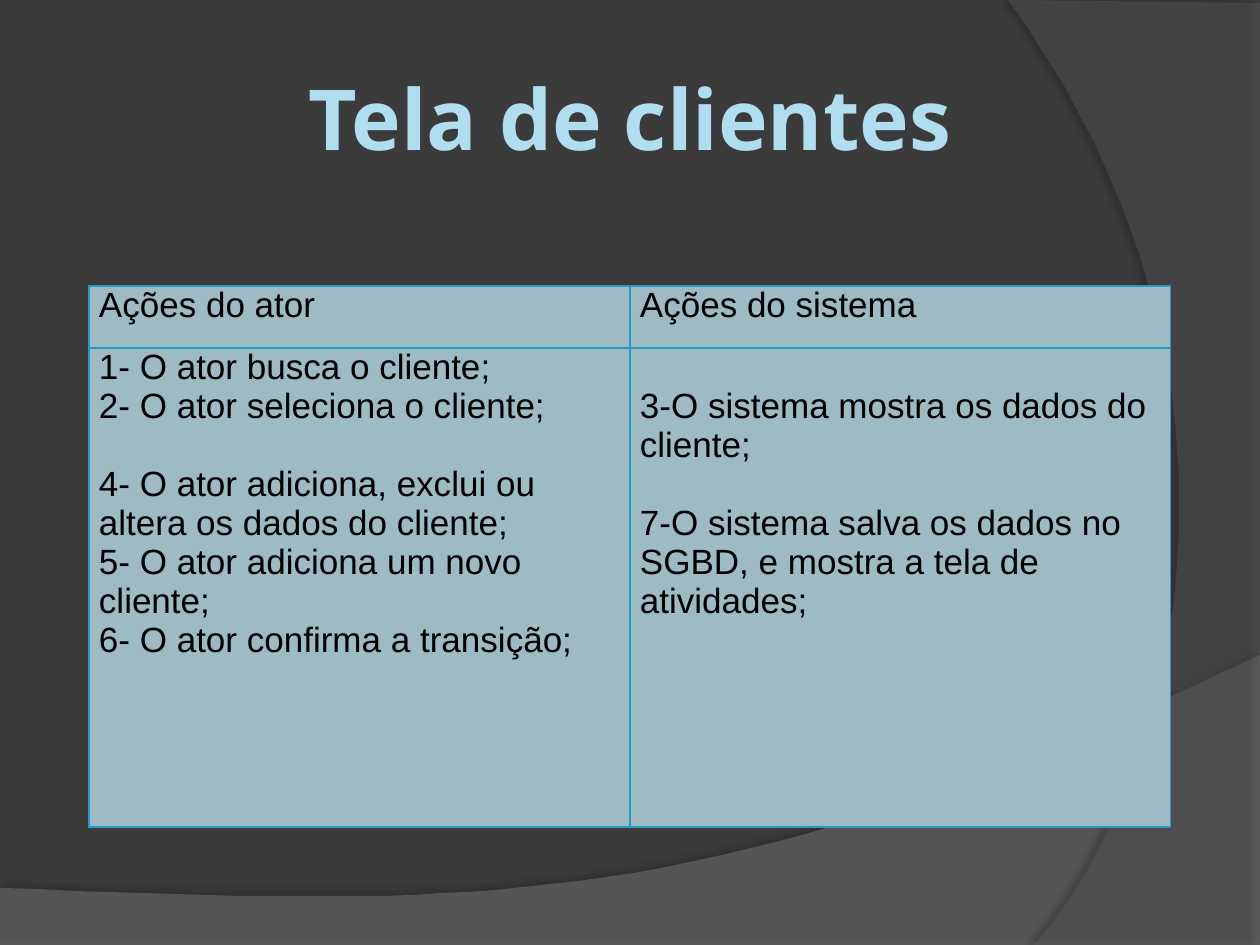
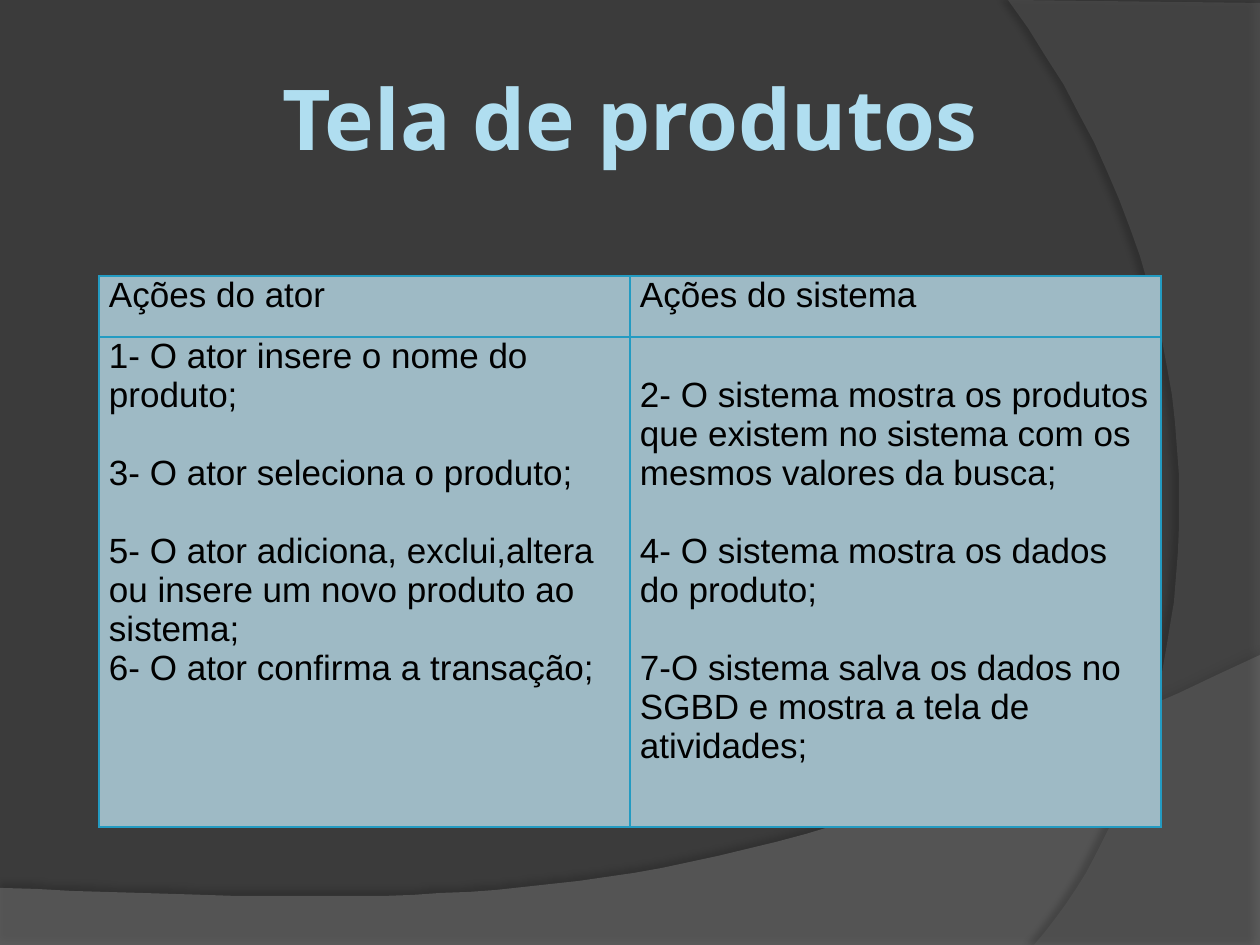
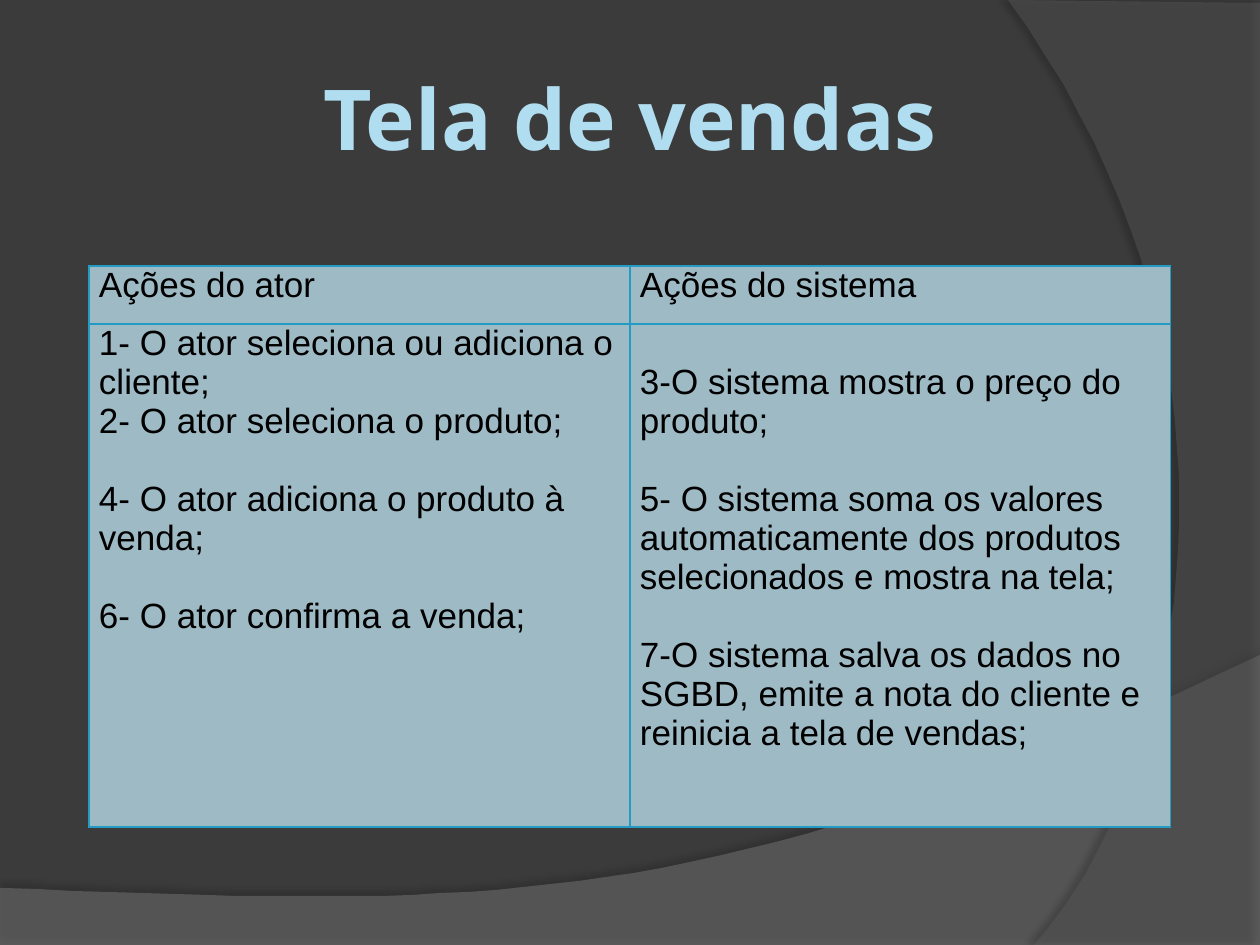
from lxml.etree import SubElement
from pptx import Presentation
from pptx.dml.color import RGBColor
from pptx.enum.text import MSO_ANCHOR as Anchor, PP_ALIGN as Align
from pptx.oxml import parse_xml
from pptx.oxml.ns import nsdecls, qn
from pptx.util import Emu, Pt

# Content: each column is a list of groups, with one empty line between groups
HEADERS = ("Ações do ator", "Ações do sistema")
SCREENS = [
    {
        "title": "Tela de clientes",
        "top": 286, "header_height": 62, "column_width": 541,
        "actor": [
            ["1- O ator busca o cliente;",
             "2- O ator seleciona o cliente;"],
            ["4- O ator adiciona, exclui ou altera os dados do cliente;",
             "5- O ator adiciona um novo cliente;",
             "6- O ator confirma a transição;"],
        ],
        "system": [
            ["3-O sistema mostra os dados do cliente;"],
            ["7-O sistema salva os dados no SGBD, e mostra a tela de atividades;"],
        ],
    },
    {
        "title": "Tela de produtos",
        "top": 276, "header_height": 61, "column_width": 531,
        "actor": [
            ["1- O ator insere o nome do produto;"],
            ["3- O ator seleciona o produto;"],
            ["5- O ator adiciona, exclui,altera ou insere um novo produto ao sistema;",
             "6- O ator confirma a transação;"],
        ],
        "system": [
            ["2- O sistema mostra os produtos que existem no sistema "
             "com os mesmos valores da busca;"],
            ["4- O sistema mostra os dados do produto;"],
            ["7-O sistema salva os dados no SGBD e mostra a tela de atividades;"],
        ],
    },
    {
        "title": "Tela de vendas",
        "top": 266, "header_height": 58, "column_width": 541,
        "actor": [
            ["1- O ator seleciona ou adiciona o cliente;",
             "2- O ator seleciona o produto;"],
            ["4- O ator adiciona o produto à venda;"],
            ["6- O ator confirma a venda;"],
        ],
        "system": [
            ["3-O sistema mostra o preço do produto;"],
            ["5- O sistema soma os valores automaticamente dos produtos "
             "selecionados e mostra na tela;"],
            ["7-O sistema salva os dados no SGBD, emite a nota do cliente "
             "e reinicia a tela de vendas;"],
        ],
    },
]

# Shared look
COLORS = {
    "background": "3B3B3B", "bottom_band": "7F7F7F", "right_band": "5E5E5E",
    "shadow": "000000", "title": "B0DEF0", "cell": "9EBAC5",
    "border": "239BC2", "text": "000000",
}
TITLE_FONT, BODY_FONT = "Noto Sans", "Arial"
WIDTH, HEIGHT = 1260, 945
TABLE_BOTTOM = 827
LINE_HEIGHT = 39

# Bands: a Bezier curve, closed through the corners; shadow lengths in points
BANDS = [
    {"color": "bottom_band", "opacity": 45,
     "curve": [(1260, 655), (704, 919), (493, 906), (0, 888)],
     "corners": [(0, 946), (1260, 946)],
     "shadow": {"opacity": 35, "blur": 4, "distance": 3.5, "angle": 270}},
    {"color": "right_band", "opacity": 40,
     "curve": [(1034, 945), (1178, 780), (1283, 378), (1008, 0)],
     "corners": [(1260, 3), (1260, 945)],
     "shadow": {"opacity": 45, "blur": 4, "distance": 4, "angle": 180}},
]
CURVE_STEPS = 40
SCALE = 914400 / 126


def px(length):
    return Emu(round(length * SCALE))


def rgb(name):
    return RGBColor.from_string(COLORS[name])


def style_font(font, name, size, color, bold=False):
    font.name, font.size, font.bold = name, Pt(size), bold
    font.color.rgb = rgb(color)


def bezier(points, t):
    weights = ((1 - t) ** 3, 3 * t * (1 - t) ** 2, 3 * t ** 2 * (1 - t), t ** 3)
    return tuple(sum(w * p[axis] for w, p in zip(weights, points)) for axis in (0, 1))


def set_opacity(color_element, percent):
    SubElement(color_element, qn("a:alpha"), val=str(percent * 1000))


def add_band(slide, band):
    outline = [bezier(band["curve"], i / CURVE_STEPS) for i in range(CURVE_STEPS + 1)]
    builder = slide.shapes.build_freeform(*outline[0], scale=SCALE)
    builder.add_line_segments(outline[1:] + band["corners"], close=True)
    shape = builder.convert_to_shape()
    shape.fill.solid()
    shape.fill.fore_color.rgb = rgb(band["color"])
    shape.line.fill.background()
    shape.shadow.inherit = False
    properties = shape._element.spPr
    set_opacity(properties.find(qn("a:solidFill"))[0], band["opacity"])

    shadow = band["shadow"]
    outer = SubElement(
        properties.find(qn("a:effectLst")), qn("a:outerShdw"),
        blurRad=str(Pt(shadow["blur"])), dist=str(Pt(shadow["distance"])),
        dir=str(shadow["angle"] * 60000), algn="ctr", rotWithShape="0")
    color = SubElement(outer, qn("a:srgbClr"), val=COLORS["shadow"])
    set_opacity(color, shadow["opacity"])


def add_title(slide, text):
    frame = slide.shapes.add_textbox(0, px(38), px(WIDTH), px(157)).text_frame
    frame.word_wrap = True
    frame.vertical_anchor = Anchor.MIDDLE
    paragraph = frame.paragraphs[0]
    paragraph.text = text
    paragraph.alignment = Align.CENTER
    style_font(paragraph.font, TITLE_FONT, 48, "title", bold=True)


def add_borders(cell):
    properties = cell._tc.get_or_add_tcPr()
    for position, side in enumerate("LRTB"):
        properties.insert(position, parse_xml(
            f'<a:ln{side} {nsdecls("a")} w="{Pt(0.75)}"><a:solidFill>'
            f'<a:srgbClr val="{COLORS["border"]}"/></a:solidFill></a:ln{side}>'))


def fill_cell(cell, groups, top_margin=0):
    cell.margin_left, cell.margin_right = px(10), px(9)
    cell.margin_top, cell.margin_bottom = px(top_margin), 0
    cell.fill.solid()
    cell.fill.fore_color.rgb = rgb("cell")
    add_borders(cell)
    lines = [(text, number > 0 and i == 0)
             for number, group in enumerate(groups) for i, text in enumerate(group)]
    frame = cell.text_frame
    for index, (text, after_gap) in enumerate(lines):
        paragraph = frame.add_paragraph() if index else frame.paragraphs[0]
        paragraph.text = text
        paragraph.space_before = px(LINE_HEIGHT) if after_gap else 0
        style_font(paragraph.font, BODY_FONT, 20, "text")


def add_actions_table(slide, screen):
    column_width, top = screen["column_width"], screen["top"]
    height = TABLE_BOTTOM - top
    table = slide.shapes.add_table(
        2, 2, px(WIDTH / 2 - column_width), px(top),
        px(2 * column_width), px(height)).table
    table.first_row = table.horz_banding = False
    table.rows[0].height = px(screen["header_height"])
    table.rows[1].height = px(height - screen["header_height"])
    for column, header in enumerate(HEADERS):
        table.columns[column].width = px(column_width)
        fill_cell(table.cell(0, column), [[header]])
    fill_cell(table.cell(1, 0), screen["actor"])
    # The system answers start one line below the actor's first action
    fill_cell(table.cell(1, 1), screen["system"], LINE_HEIGHT)


def main():
    presentation = Presentation()
    presentation.slide_width, presentation.slide_height = px(WIDTH), px(HEIGHT)
    background = presentation.slide_master.background.fill
    background.solid()
    background.fore_color.rgb = rgb("background")
    for screen in SCREENS:
        slide = presentation.slides.add_slide(presentation.slide_layouts[6])
        for band in BANDS:
            add_band(slide, band)
        add_title(slide, screen["title"])
        add_actions_table(slide, screen)
    presentation.save("out.pptx")


if __name__ == "__main__":
    main()
